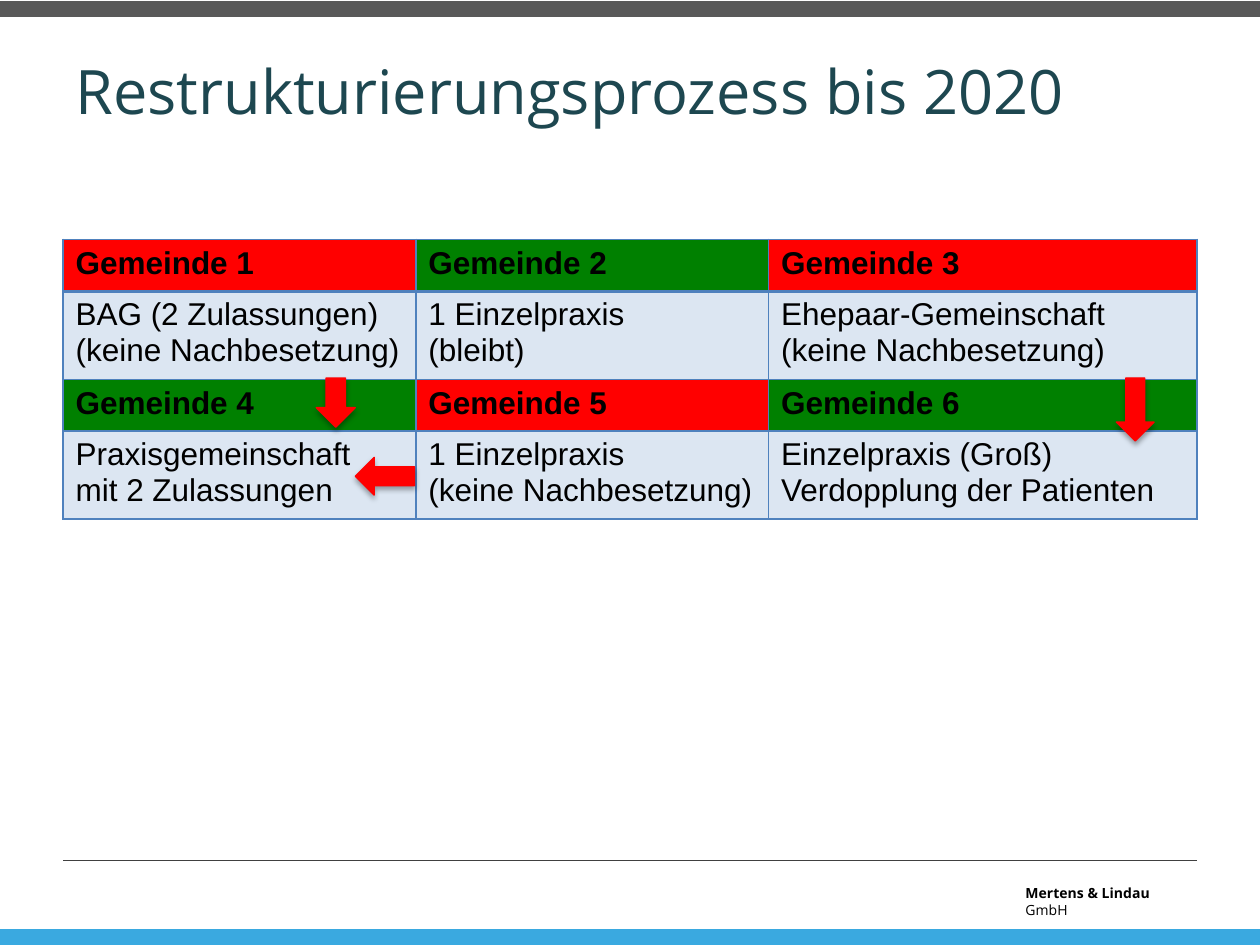
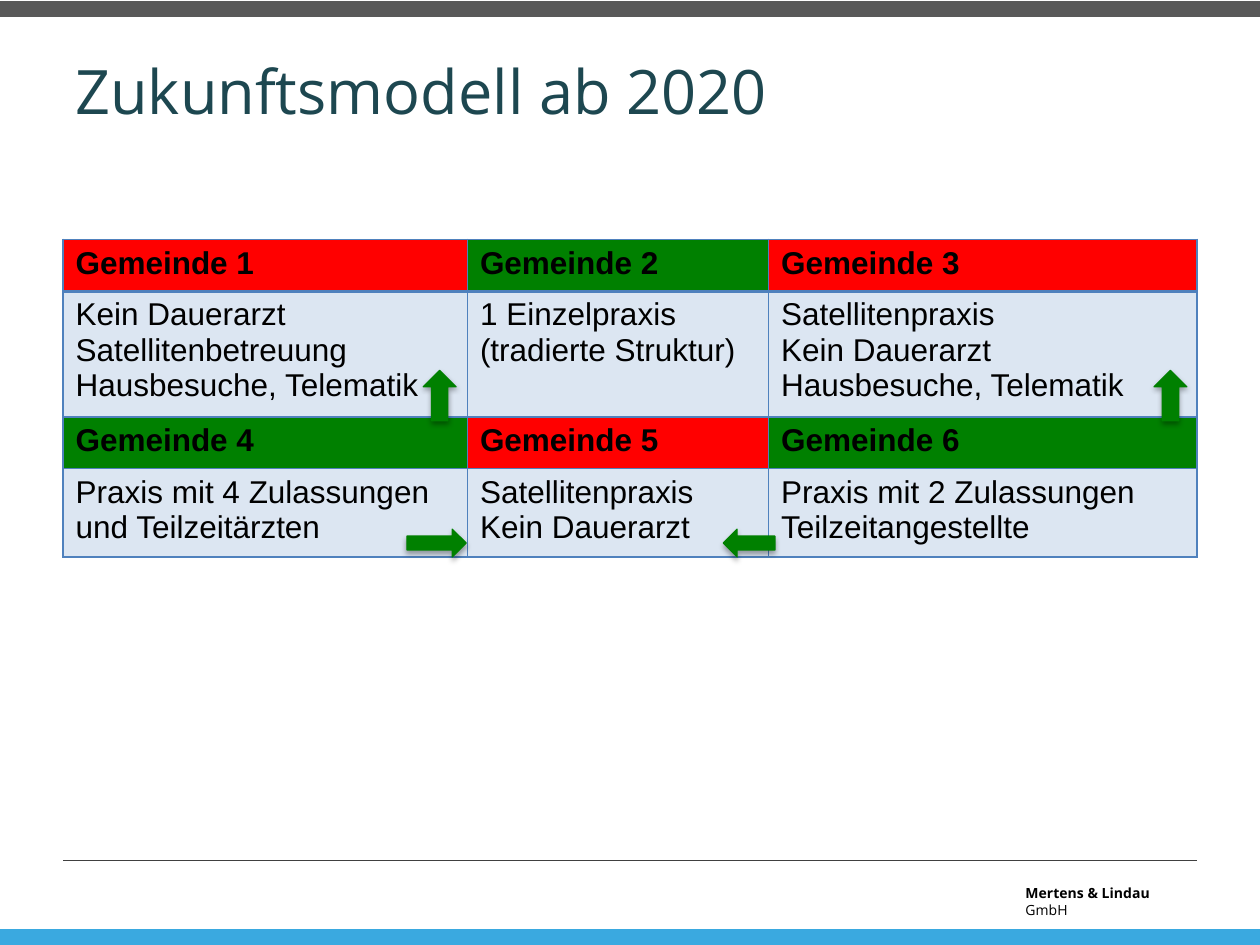
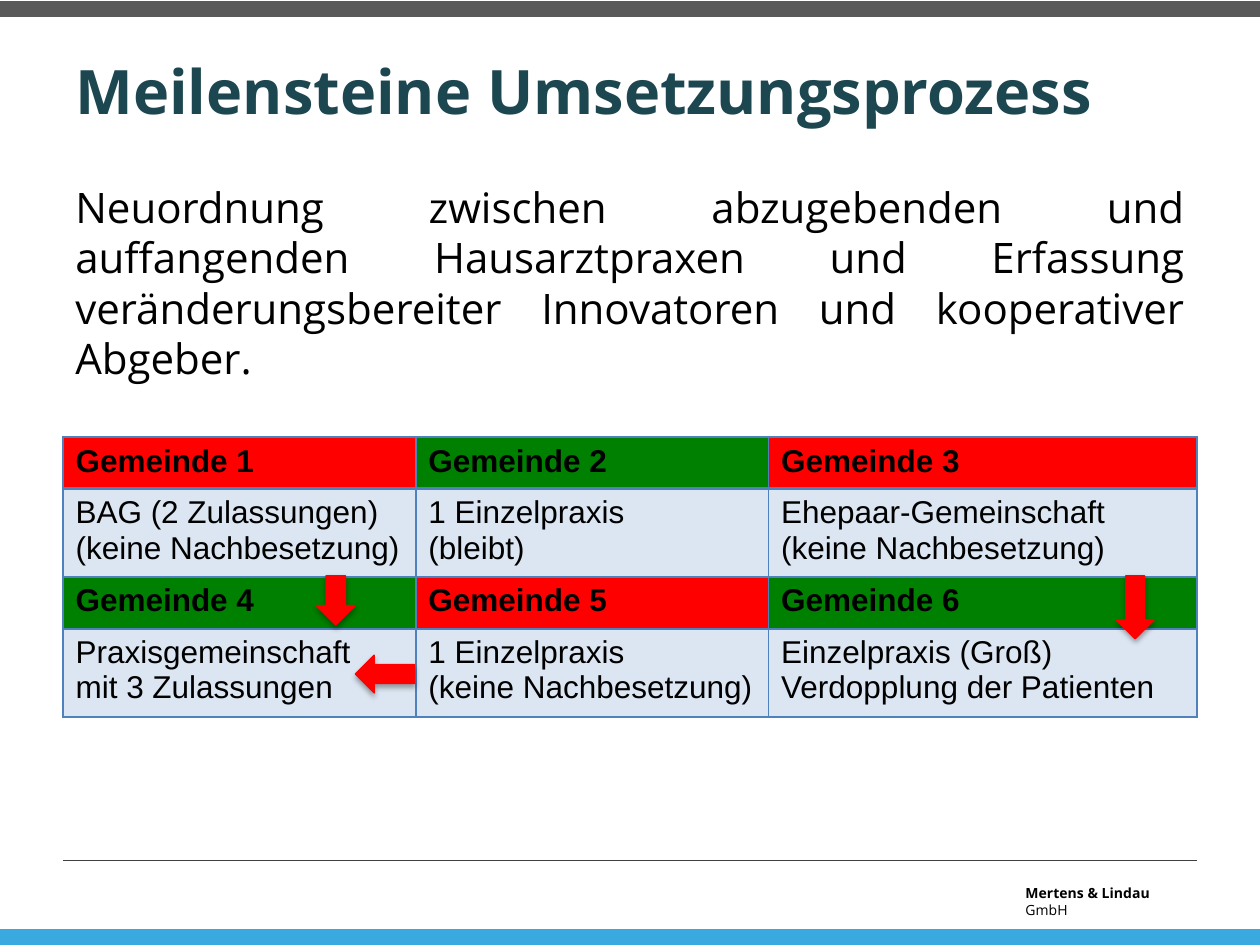
from lxml.etree import SubElement
from pptx import Presentation
from pptx.dml.color import RGBColor
from pptx.enum.shapes import MSO_CONNECTOR, MSO_SHAPE
from pptx.enum.text import MSO_ANCHOR, PP_ALIGN
from pptx.oxml import parse_xml
from pptx.oxml.ns import nsdecls, qn
from pptx.util import Inches, Pt

RED, GREEN, PALE_BLUE = "FF0000", "008000", "DCE6F2"
BORDER, TITLE, BLACK = "4F81BD", "1D4750", "000000"
GREY, SKY, RULE = "595959", "3AA9E0", "404040"
BODY_FONT, TABLE_FONT = "Open Sans", "Arial"
LEFT, WIDTH = 0.5, 9
HEADER_HEIGHT, LINE_HEIGHT, CELL_PADDING = 0.41, 0.28, 0.1
HEADER_COLORS = [[RED, GREEN, RED], [GREEN, RED, GREEN]]


def rgb(color):
    return RGBColor.from_string(color)


def add_run(p, text, size, color=BLACK, font=BODY_FONT, bold=False):
    r = p.add_run()
    r.text = text
    r.font.name = font
    r.font.size = Pt(size)
    r.font.bold = bold
    r.font.color.rgb = rgb(color)


def add_text(slide, box, anchor=MSO_ANCHOR.TOP):
    tf = slide.shapes.add_textbox(*map(Inches, box)).text_frame
    tf.word_wrap = True
    tf.vertical_anchor = anchor
    return tf.paragraphs[0]


def add_filled(slide, kind, box, color):
    sp = slide.shapes.add_shape(kind, *map(Inches, box))
    sp.shadow.inherit = False
    sp.fill.solid()
    sp.fill.fore_color.rgb = rgb(color)
    sp.line.color.rgb = rgb(color)
    sp.line.width = Pt(0.75)
    return sp


def add_frame(slide):
    for top, color in ((0.01, GREY), (7.38, SKY)):
        add_filled(slide, MSO_SHAPE.RECTANGLE, (0, top, 10, 0.12), color)
    line = slide.shapes.add_connector(
        MSO_CONNECTOR.STRAIGHT, Inches(LEFT), Inches(6.83), Inches(LEFT + WIDTH), Inches(6.83))
    line.line.color.rgb = rgb(RULE)
    line.line.width = Pt(0.25)
    SubElement(line._element.spPr, qn("a:effectLst"))
    p = add_text(slide, (8.04, 6.97, 1.54, 0.24))
    add_run(p, "Mertens & Lindau ", 8, bold=True)
    add_run(p, "GmbH", 8)


def add_titled_slide(prs, title, bold=False):
    slide = prs.slides.add_slide(prs.slide_layouts[6])
    add_frame(slide)
    p = add_text(slide, (LEFT, 0.3, WIDTH, 0.83), MSO_ANCHOR.MIDDLE)
    add_run(p, title, 35, TITLE, bold=bold)
    return slide


def set_borders(cell, top, bottom):
    tcPr = cell._tc.get_or_add_tcPr()
    for i, (side, width) in enumerate((("L", 1), ("R", 1), ("T", top), ("B", bottom))):
        tcPr.insert(i, parse_xml(
            f'<a:ln{side} {nsdecls("a")} w="{Pt(width)}"><a:solidFill>'
            f'<a:srgbClr val="{BORDER}"/></a:solidFill></a:ln{side}>'))


def fill_cell(cell, text, color, bold):
    cell.fill.solid()
    cell.fill.fore_color.rgb = rgb(color)
    tf = cell.text_frame
    for i, line in enumerate(text.split("\n")):
        p = tf.add_paragraph() if i else tf.paragraphs[0]
        add_run(p, line, 18, font=TABLE_FONT, bold=bold)


def add_municipalities(slide, top, widths, practices, line_counts):
    heights = []
    for count in line_counts:
        heights += [HEADER_HEIGHT, CELL_PADDING + LINE_HEIGHT * count]
    box = (LEFT, top, WIDTH, sum(heights))
    table = slide.shapes.add_table(len(heights), len(widths), *map(Inches, box)).table
    table.horz_banding = False
    for col, width in zip(table.columns, widths):
        col.width = Inches(width)
    for row, height in zip(table.rows, heights):
        row.height = Inches(height)
    for band, (colors, texts) in enumerate(zip(HEADER_COLORS, practices)):
        for c, (color, text) in enumerate(zip(colors, texts)):
            number = band * len(widths) + c + 1
            fill_cell(table.cell(2 * band, c), f"Gemeinde {number}", color, True)
            fill_cell(table.cell(2 * band + 1, c), text, PALE_BLUE, False)
    for r in range(len(heights)):
        for c in range(len(widths)):
            set_borders(table.cell(r, c), 2 if r == 1 else 1, 2 if r == 0 else 1)


def add_arrows(slide, top, color, arrows):
    for kind, dx, dy, width, height in arrows:
        sp = add_filled(slide, kind, (LEFT + dx, top + dy, width, height), color)
        effects = sp._element.spPr.find(qn("a:effectLst"))
        effects.append(parse_xml(
            f'<a:outerShdw {nsdecls("a")} blurRad="{Pt(3.1)}" dist="{Pt(1.8)}" '
            f'dir="5400000" rotWithShape="0"><a:srgbClr val="{BLACK}">'
            '<a:alpha val="35000"/></a:srgbClr></a:outerShdw>'))


def add_restructuring(slide, top, licences):
    practices = [
        ["BAG (2 Zulassungen)\n(keine Nachbesetzung)", "1 Einzelpraxis\n(bleibt)",
         "Ehepaar-Gemeinschaft\n(keine Nachbesetzung)"],
        [f"Praxisgemeinschaft\nmit {licences} Zulassungen",
         "1 Einzelpraxis\n(keine Nachbesetzung)",
         "Einzelpraxis (Groß)\nVerdopplung der Patienten"],
    ]
    add_municipalities(slide, top, (2.8, 2.8, 3.4), practices, (2, 2))
    add_arrows(slide, top, RED, [
        (MSO_SHAPE.LEFT_ARROW, 2.32, 1.73, 0.47, 0.3),
        (MSO_SHAPE.DOWN_ARROW, 2.01, 1.1, 0.31, 0.39),
        (MSO_SHAPE.DOWN_ARROW, 8.36, 1.1, 0.3, 0.5),
    ])


def add_future_model(slide, top):
    practices = [
        ["Kein Dauerarzt Satellitenbetreuung\nHausbesuche, Telematik",
         "1 Einzelpraxis\n(tradierte Struktur)",
         "Satellitenpraxis\nKein Dauerarzt\nHausbesuche, Telematik"],
        ["Praxis mit 4 Zulassungen und Teilzeitärzten", "Satellitenpraxis\nKein Dauerarzt",
         "Praxis mit 2 Zulassungen\nTeilzeitangestellte"],
    ]
    add_municipalities(slide, top, (3.21, 2.39, 3.4), practices, (3, 2))
    add_arrows(slide, top, GREEN, [
        (MSO_SHAPE.RIGHT_ARROW, 2.73, 2.3, 0.47, 0.22),
        (MSO_SHAPE.LEFT_ARROW, 5.24, 2.3, 0.41, 0.22),
        (MSO_SHAPE.UP_ARROW, 8.66, 1.04, 0.26, 0.4),
        (MSO_SHAPE.UP_ARROW, 2.86, 1.04, 0.26, 0.4),
    ])


def add_milestone(slide):
    p = add_text(slide, (LEFT, 1.39, WIDTH, 5.31))
    p.alignment = PP_ALIGN.JUSTIFY
    p.space_before = Pt(4.8)
    add_run(p, "Neuordnung zwischen abzugebenden und auffangenden Hausarztpraxen und "
               "Erfassung veränderungsbereiter Innovatoren und kooperativer Abgeber.", 24)


def main():
    prs = Presentation()
    prs.slide_width, prs.slide_height = Inches(10), Inches(7.5)
    add_restructuring(add_titled_slide(prs, "Restrukturierungsprozess bis 2020"), 1.9, 2)
    add_future_model(add_titled_slide(prs, "Zukunftsmodell ab 2020"), 1.9)
    slide = add_titled_slide(prs, "Meilensteine Umsetzungsprozess", bold=True)
    add_milestone(slide)
    add_restructuring(slide, 3.47, 3)
    prs.save("out.pptx")


if __name__ == "__main__":
    main()
